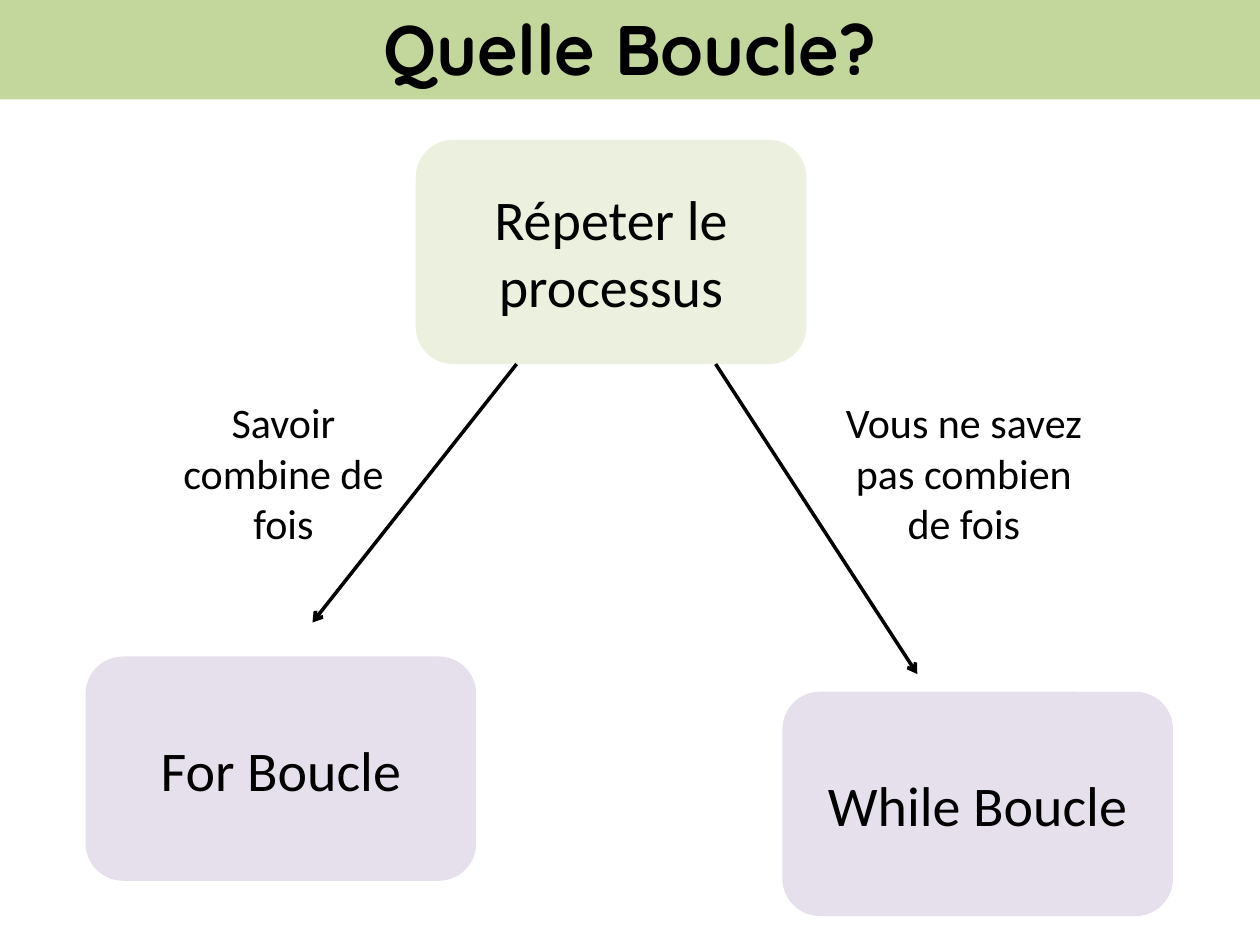
from dataclasses import dataclass

from lxml import etree
from pptx import Presentation
from pptx.dml.color import RGBColor
from pptx.enum.shapes import MSO_CONNECTOR, MSO_SHAPE
from pptx.enum.text import MSO_ANCHOR, MSO_AUTO_SIZE, PP_ALIGN
from pptx.oxml.ns import qn
from pptx.util import Inches, Pt

ROUNDED = MSO_SHAPE.ROUNDED_RECTANGLE
STRAIGHT = MSO_CONNECTOR.STRAIGHT
CENTER = PP_ALIGN.CENTER
MIDDLE, TOP = MSO_ANCHOR.MIDDLE, MSO_ANCHOR.TOP
NO_FIT, GROW = MSO_AUTO_SIZE.NONE, MSO_AUTO_SIZE.SHAPE_TO_FIT_TEXT


@dataclass(frozen=True)
class Theme:
    band: str = "C3D69B"
    question: str = "EBF1DE"
    answer: str = "E6E0EC"
    ink: str = "000000"
    title_font: str = "Quicksand"
    body_font: str = "Calibri"
    title_size: int = 40
    box_size: int = 32
    label_size: int = 24
    arrow_width: int = 2


THEME = Theme()
WIDTH, HEIGHT = Inches(10), Inches(7.5)

# Positions and sizes are percentages of the slide's width and height.
TITLE = "Quelle Boucle?"
TITLE_AREA = (0, -0.4, 100, 10.93)
BOX_SIZE = (31, 23.73)
BOXES = [
    ("Répeter le processus", (33, 14.8), THEME.question),
    ("For Boucle", (6.8, 69.47), THEME.answer),
    ("While Boucle", (62.1, 73.2), THEME.answer),
]
LABEL_TOP, LABEL_SIZE = 41.33, (21, 17.47)
LABELS = [
    ("Savoir combine de fois", 12),
    ("Vous ne savez pas combien de fois", 66),
]
ARROW_TOP = BOXES[0][1][1] + BOX_SIZE[1]
ARROWS = [(41, (24.8, 65.87)), (56.8, (72.8, 71.33))]


def across(share):
    return round(WIDTH * share / 100)


def down(share):
    return round(HEIGHT * share / 100)


def area(left, top, width, height):
    return across(left), down(top), across(width), down(height)


def write(shape, text, size, font=THEME.body_font, bold=False, anchor=MIDDLE, fit=NO_FIT):
    frame = shape.text_frame
    frame.text = text
    frame.word_wrap = True
    frame.auto_size = fit
    frame.vertical_anchor = anchor
    paragraph = frame.paragraphs[0]
    paragraph.alignment = CENTER
    style = paragraph.runs[0].font
    style.name, style.size, style.bold = font, Pt(size), bold
    style.color.rgb = RGBColor.from_string(THEME.ink)


def paint(shape, color):
    shape.fill.solid()
    shape.fill.fore_color.rgb = RGBColor.from_string(color)
    shape.line.fill.background()


def add_title(slide):
    title = slide.shapes.title
    title.left, title.top, title.width, title.height = area(*TITLE_AREA)
    paint(title, THEME.band)
    write(title, TITLE, THEME.title_size, font=THEME.title_font, bold=True)


def add_box(slide, text, position, color):
    box = slide.shapes.add_shape(ROUNDED, *area(*position, *BOX_SIZE))
    box.shadow.inherit = False
    paint(box, color)
    write(box, text, THEME.box_size)


def add_arrow(slide, start, end):
    arrow = slide.shapes.add_connector(
        STRAIGHT, across(start), down(ARROW_TOP), across(end[0]), down(end[1])
    )
    arrow.line.color.rgb = RGBColor.from_string(THEME.ink)
    arrow.line.width = Pt(THEME.arrow_width)
    etree.SubElement(arrow.line._get_or_add_ln(), qn("a:tailEnd"), type="arrow")
    etree.SubElement(arrow._element.spPr, qn("a:effectLst"))


def add_label(slide, text, left):
    label = slide.shapes.add_textbox(*area(left, LABEL_TOP, *LABEL_SIZE))
    write(label, text, THEME.label_size, anchor=TOP, fit=GROW)


def main():
    presentation = Presentation()
    presentation.slide_width, presentation.slide_height = WIDTH, HEIGHT
    slide = presentation.slides.add_slide(presentation.slide_layouts[5])
    add_title(slide)
    for box in BOXES:
        add_box(slide, *box)
    for arrow in ARROWS:
        add_arrow(slide, *arrow)
    for label in LABELS:
        add_label(slide, *label)
    presentation.save("out.pptx")


if __name__ == "__main__":
    main()
